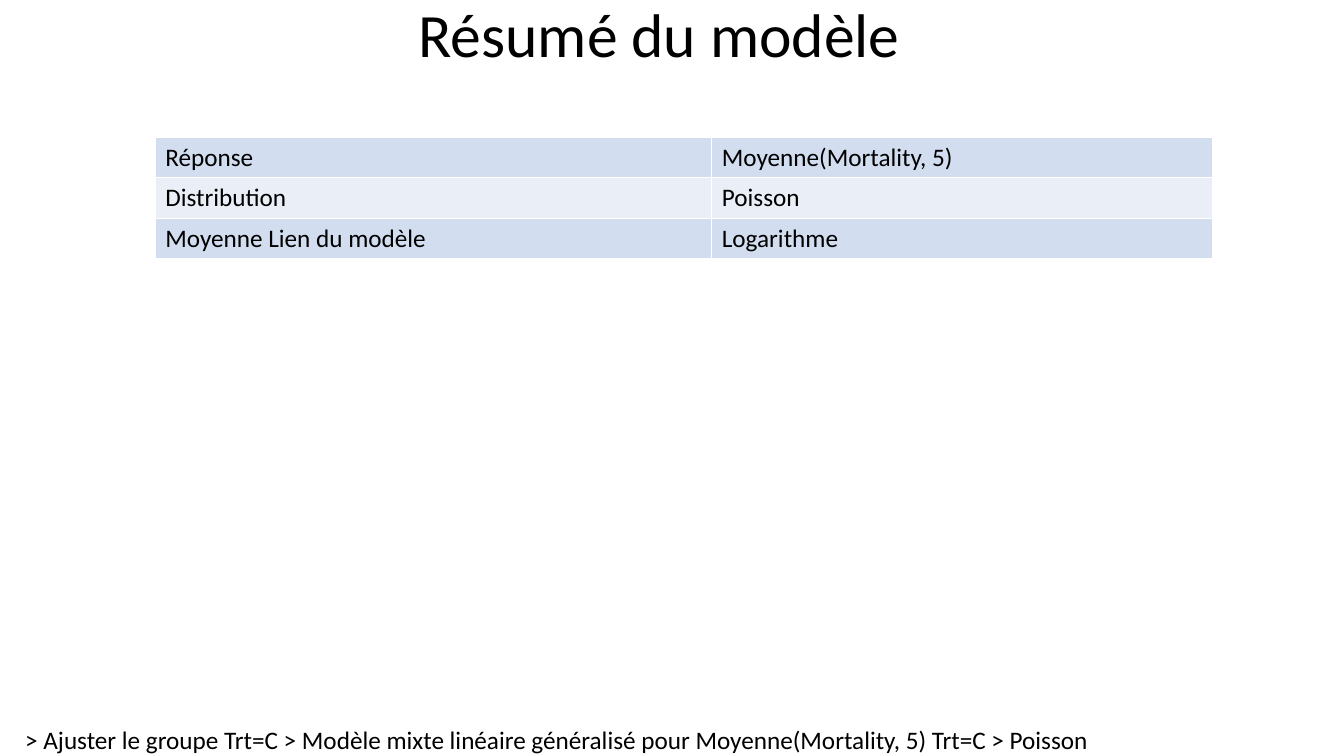
from lxml import etree
from pptx import Presentation
from pptx import util as u
from pptx.dml.color import RGBColor
from pptx.enum import text
from pptx.oxml import ns

WIDTH, HEIGHT = u.Inches(13.33), u.Inches(7.5)
FONT = "Calibri"
BLACK = RGBColor(0x00, 0x00, 0x00)
WHITE = RGBColor(0xFF, 0xFF, 0xFF)
BANDS = (RGBColor(0xD2, 0xDE, 0xEF), RGBColor(0xEA, 0xEF, 0xF7))

MODEL_SUMMARY = [
    ("Réponse", "Moyenne(Mortality, 5)"),
    ("Distribution", "Poisson"),
    ("Moyenne Lien du modèle", "Logarithme"),
]
BREADCRUMB = ("> Ajuster le groupe Trt=C > Modèle mixte linéaire généralisé "
              "pour Moyenne(Mortality, 5) Trt=C > Poisson")


def box(left, top, width, height):
    return tuple(u.Inches(length) for length in (left, top, width, height))


def add_run(paragraph, content, size):
    run = paragraph.add_run()
    run.text = content
    run.font.name = FONT
    run.font.size = u.Pt(size)
    run.font.color.rgb = BLACK


def add_title(slide, area, content):
    frame = slide.shapes.add_textbox(*area).text_frame
    frame.word_wrap = True
    frame.vertical_anchor = text.MSO_ANCHOR.MIDDLE
    paragraph = frame.paragraphs[0]
    paragraph.alignment = text.PP_ALIGN.CENTER
    paragraph.line_spacing = 0.9
    add_run(paragraph, content, 44)


def add_breadcrumb(slide, area, content):
    frame = slide.shapes.add_textbox(*area).text_frame
    frame.word_wrap = False
    frame.auto_size = text.MSO_AUTO_SIZE.SHAPE_TO_FIT_TEXT
    frame.margin_left = frame.margin_right = 0
    frame.margin_top = frame.margin_bottom = 0
    add_run(frame.paragraphs[0], content, 18)


def add_borders(cell, color, points):
    """Draw the four sides; they must come before the fill in the cell XML."""
    properties = cell._tc.get_or_add_tcPr()
    for index, side in enumerate(("lnL", "lnR", "lnT", "lnB")):
        line = etree.Element(ns.qn(f"a:{side}"), w=str(u.Pt(points)))
        fill = etree.SubElement(line, ns.qn("a:solidFill"))
        etree.SubElement(fill, ns.qn("a:srgbClr"), val=str(color))
        properties.insert(index, line)


def add_summary_table(slide, area, rows, first_share):
    frame = slide.shapes.add_table(len(rows), 2, *area)
    table = frame.table
    table.first_row = False
    width = area[2]
    table.columns[0].width = int(width * first_share)
    table.columns[1].width = width - table.columns[0].width
    for row_index, values in enumerate(rows):
        for column_index, value in enumerate(values):
            cell = table.cell(row_index, column_index)
            cell.fill.solid()
            cell.fill.fore_color.rgb = BANDS[row_index % 2]
            add_borders(cell, WHITE, 1)
            add_run(cell.text_frame.paragraphs[0], value, 18)


def main():
    presentation = Presentation()
    presentation.slide_width, presentation.slide_height = WIDTH, HEIGHT
    slide = presentation.slides.add_slide(presentation.slide_layouts[6])
    add_breadcrumb(slide, box(0.25, 7.19, 10.63, 0.31), BREADCRUMB)
    add_title(slide, box(0, 0, 13.08, 0.75), "Résumé du modèle")
    add_summary_table(slide, box(1.54, 1.36, 10.49, 1.21), MODEL_SUMMARY, 5.52 / 10.49)
    presentation.save("out.pptx")


if __name__ == "__main__":
    main()
